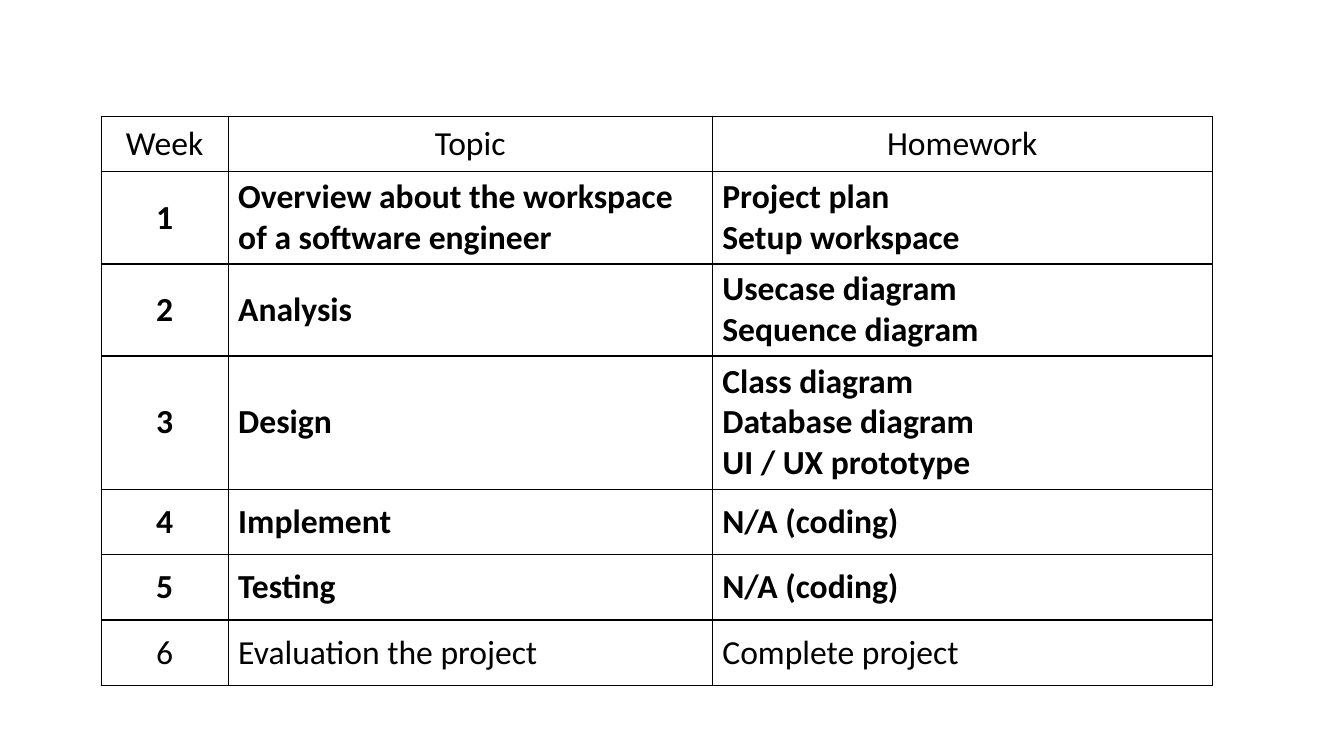
from lxml.etree import SubElement
from pptx import Presentation
from pptx.dml.color import RGBColor
from pptx.enum.text import MSO_ANCHOR, PP_ALIGN
from pptx.oxml.ns import qn
from pptx.util import Cm, Pt

INK = "000000"
PAPER = "FFFFFF"
HEAD = ("Week", "Topic", "Homework")
PLAN = [
    ("Overview about the workspace of a software engineer",
     "Project plan\nSetup workspace"),
    ("Analysis", "Usecase diagram\nSequence diagram"),
    ("Design", "Class diagram\nDatabase diagram\nUI / UX prototype"),
    ("Implement", "N/A (coding)"),
    ("Testing", "N/A (coding)"),
    ("Evaluation the project", "Complete project"),
]


def color(code):
    return RGBColor.from_string(code)


def write(frame, text, size=24, bold=False, align=PP_ALIGN.LEFT, ink=INK):
    """Fill a text frame, one paragraph per line of text."""
    frame.text = text
    for para in frame.paragraphs:
        para.alignment = align
        for run in para.runs:
            font = run.font
            font.name, font.size, font.bold = "Calibri", Pt(size), bold
            font.color.rgb = color(ink)


def border(cell, code, width=1):
    props = cell._tc.get_or_add_tcPr()
    for side in ("lnL", "lnR", "lnT", "lnB"):
        line = SubElement(props, qn(f"a:{side}"), w=str(Pt(width)))
        fill = SubElement(line, qn("a:solidFill"))
        SubElement(fill, qn("a:srgbClr"), val=code)


def schedule(slide, left, top, width, height):
    """Place the weekly plan; rows grow with their text."""
    rows = [HEAD] + [(str(week), *item) for week, item in enumerate(PLAN, 1)]
    table = slide.shapes.add_table(
        len(rows), len(HEAD), left, top, width, height).table
    table.first_row = table.horz_banding = False
    week, topic = Cm(3.2), Cm(12.2)
    for col, size in zip(table.columns, (week, topic, width - week - topic)):
        col.width = size
    for r, row in enumerate(rows):
        table.rows[r].height = Cm(1.65 if r else 1.4)
        for c, text in enumerate(row):
            cell = table.cell(r, c)
            cell.vertical_anchor = MSO_ANCHOR.MIDDLE
            border(cell, INK)
            cell.fill.solid()
            cell.fill.fore_color.rgb = color(PAPER)
            centred = r == 0 or c == 0
            write(cell.text_frame, text, bold=0 < r < len(PLAN),
                  align=PP_ALIGN.CENTER if centred else PP_ALIGN.LEFT)


def main():
    deck = Presentation()
    deck.slide_width, deck.slide_height = Cm(33.87), Cm(19.05)
    slide = deck.slides.add_slide(deck.slide_layouts[6])
    schedule(slide, Cm(2.55), Cm(2.93), Cm(28), Cm(11.3))
    deck.save("out.pptx")


if __name__ == "__main__":
    main()
